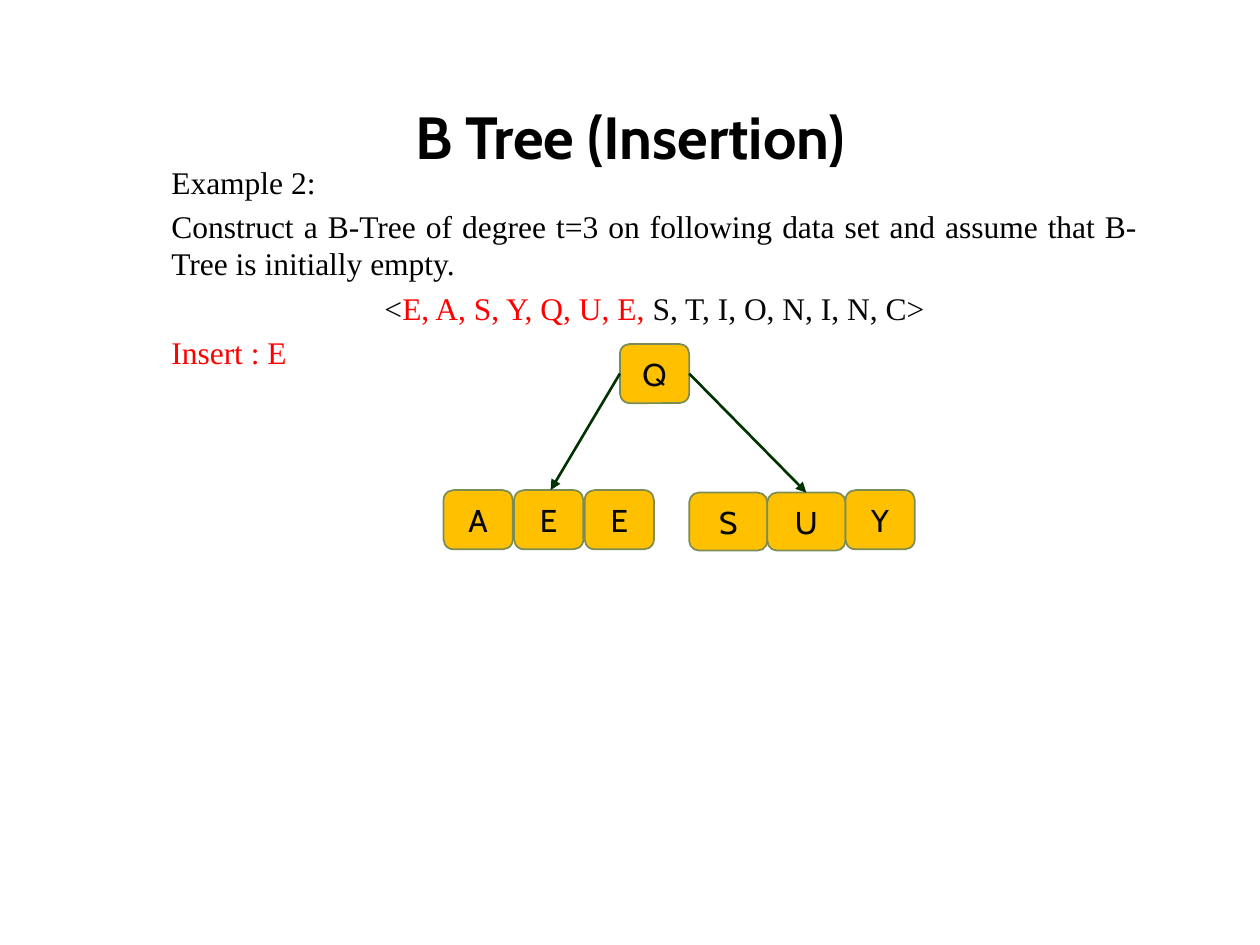
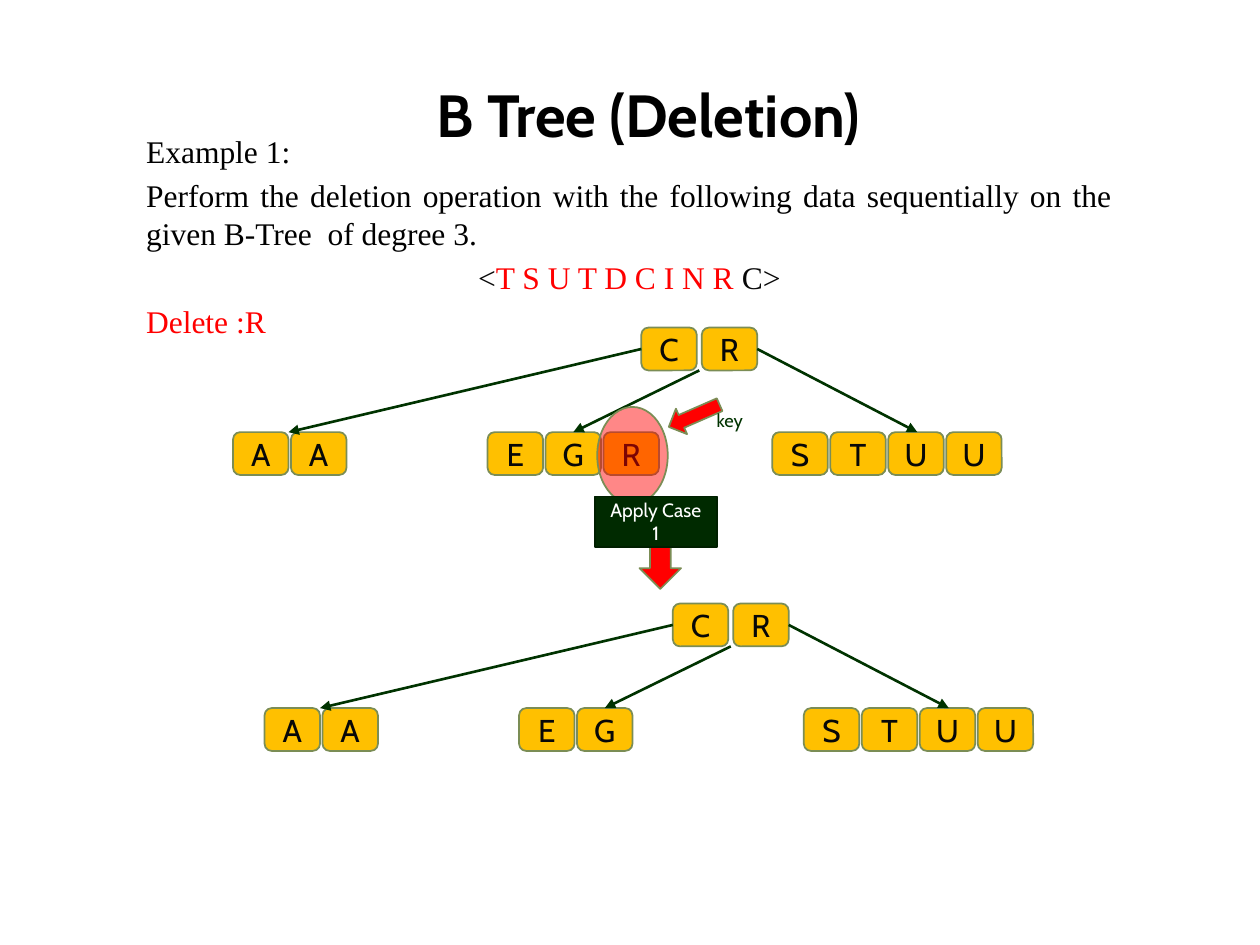
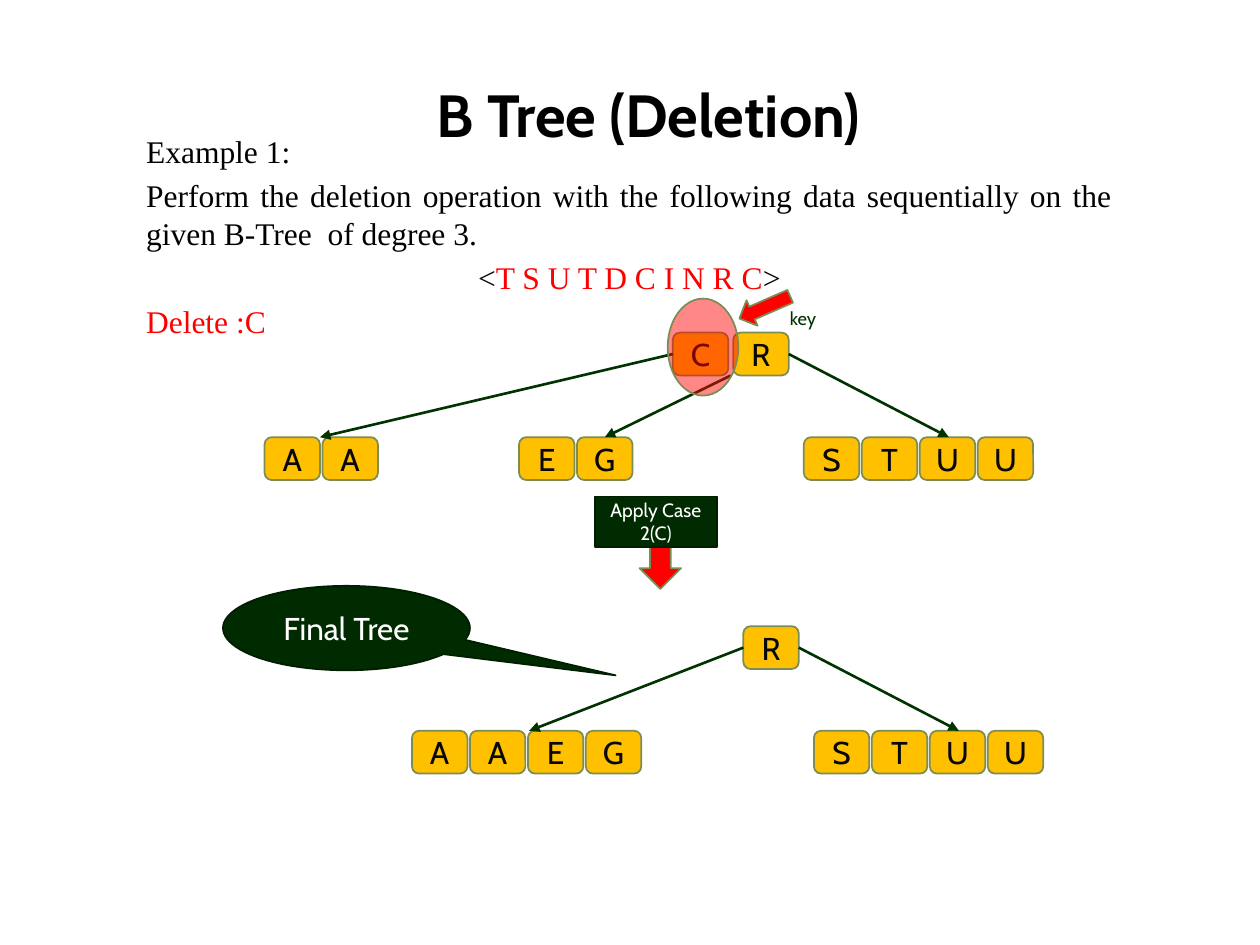
from dataclasses import dataclass
from typing import Optional

from lxml import etree
from pptx import Presentation
from pptx.dml.color import RGBColor
from pptx.enum.shapes import MSO_CONNECTOR, MSO_SHAPE
from pptx.enum.text import MSO_ANCHOR, MSO_AUTO_SIZE, PP_ALIGN
from pptx.oxml.ns import qn
from pptx.util import Inches, Pt

BLACK = RGBColor(0x00, 0x00, 0x00)
INK = RGBColor(0x08, 0x08, 0x08)
WHITE = RGBColor(0xFF, 0xFF, 0xFF)
RED = RGBColor(0xFF, 0x00, 0x00)
GOLD = RGBColor(0xFF, 0xC0, 0x00)
OLIVE = RGBColor(0x7B, 0x8D, 0x55)
GREEN = RGBColor(0x00, 0x33, 0x00)
DEEP_GREEN = RGBColor(0x00, 0x2A, 0x00)
DARKEST_GREEN = RGBColor(0x00, 0x1F, 0x00)

HEADING_FONT = "Cabin"
BODY_FONT = "Times New Roman"
LEFT, CENTER, JUSTIFY = PP_ALIGN.LEFT, PP_ALIGN.CENTER, PP_ALIGN.JUSTIFY
MIDDLE, NO_FIT = MSO_ANCHOR.MIDDLE, MSO_AUTO_SIZE.NONE
ROUNDED, RECTANGLE = MSO_SHAPE.ROUNDED_RECTANGLE, MSO_SHAPE.RECTANGLE
OVAL, CALLOUT = MSO_SHAPE.OVAL, MSO_SHAPE.OVAL_CALLOUT
LEFT_ARROW, RIGHT_ARROW = MSO_SHAPE.LEFT_ARROW, MSO_SHAPE.RIGHT_ARROW
STRAIGHT = MSO_CONNECTOR.STRAIGHT
TITLE_AND_CONTENT = 1


@dataclass
class Node:
    """A row of key cells; arrow_at is where the parent's arrow lands, from the left."""
    keys: str
    left: float
    top: float
    arrow_at: Optional[float] = None
    width: float = 0.44
    height: float = 0.34
    pitch: float = 0.46


def three_leaf_tree(left, top, middle_keys):
    """Return the root C R and its leaves, placed relative to the root."""
    leaf_top = top + 0.83
    return [
        Node("CR", left, top, pitch=0.48),
        Node("AA", left - 3.24, leaf_top, 0.44),
        Node(middle_keys, left - 1.22, leaf_top, 0.68),
        Node("STUU", left + 1.04, leaf_top, 1.15),
    ]


INSERTION_TREE = [
    Node("Q", 4.92, 2.73, width=0.55, height=0.47),
    Node("AEE", 3.52, 3.89, 0.85, 0.55, 0.47, 0.56),
    Node("SU", 5.47, 3.91, 0.93, 0.62, 0.46, 0.62),
    Node("Y", 6.71, 3.89, width=0.55, height=0.47),
]
FINAL_TREE = [
    Node("R", 5.9, 4.97),
    Node("AAEG", 3.27, 5.8, 0.93),
    Node("STUU", 6.46, 5.8, 1.15),
]

DELETION = {
    "title": "B Tree (Deletion)",
    "title_at": (0.65, 0.51, 9, 0.79),
    "body_at": (1.06, 0.97, 7.87, 1.86),
    "example": "Example 1:",
    "task": "Perform the deletion operation with the following data sequentially "
            "on the given B-Tree  of degree 3.",
}
SLIDES = [
    {
        "title": "B Tree (Insertion)",
        "title_at": (0.5, 0.68, 9, 0.79),
        "body_at": (1.26, 1.21, 7.87, 5.07),
        "example": "Example 2:",
        "task": "Construct a B-Tree of degree t=3 on following data set and assume "
                "that B-Tree is initially empty.",
        "done": "E, A, S, Y, Q, U, E, ",
        "pending": "S, T, I, O, N, I, N, C",
        "step": "Insert : E",
        "trees": [INSERTION_TREE],
    },
    {
        **DELETION,
        "done": "T S U T D C I N R",
        "pending": " C",
        "step": "Delete :R",
        "trees": [three_leaf_tree(5.09, 2.6, "EGR"), three_leaf_tree(5.34, 4.79, "EG")],
        "marker_at": (4.74, 3.23),
        "key_label_at": (5.59, 3.2),
        "case": "Apply Case 1",
    },
    {
        **DELETION,
        "done": "T S U T D C I N R C",
        "pending": "",
        "step": "Delete :C",
        "trees": [three_leaf_tree(5.34, 2.64, "EG"), FINAL_TREE],
        "marker_at": (5.3, 2.37),
        "key_label_at": (6.17, 2.39),
        "case": "Apply Case 2(C)",
        "callout": "Final Tree",
    },
]


def style(para, size, color, name=HEADING_FONT, align=CENTER):
    para.alignment = align
    para.font.size = Pt(size)
    para.font.name = name
    para.font.color.rgb = color


def place(shape, bounds):
    shape.left, shape.top, shape.width, shape.height = map(Inches, bounds)


def add_box(page, kind, bounds, fill, line, text="", size=18, color=INK):
    box = page.shapes.add_shape(kind, *map(Inches, bounds))
    box.shadow.inherit = False
    box.fill.solid()
    box.fill.fore_color.rgb = fill
    box.line.color.rgb = line
    box.line.width = Pt(1)
    if text:
        frame = box.text_frame
        frame.text = text
        frame.word_wrap = True
        frame.vertical_anchor = MIDDLE
        style(frame.paragraphs[0], size, color)
    return box


def add_arrow(page, start, end):
    arrow = page.shapes.add_connector(STRAIGHT, *map(Inches, start + end))
    arrow.line.color.rgb = GREEN
    arrow.line.width = Pt(1.5)
    etree.SubElement(arrow.line._get_or_add_ln(), qn("a:tailEnd"), type="triangle")
    etree.SubElement(arrow._element.spPr, qn("a:effectLst"))


def add_tree(page, nodes):
    for node in nodes:
        for column, key in enumerate(node.keys):
            left = node.left + column * node.pitch
            add_box(page, ROUNDED, (left, node.top, node.width, node.height),
                    GOLD, OLIVE, key)

    root = nodes[0]
    children = [node for node in nodes if node.arrow_at is not None]
    right = root.left + (len(root.keys) - 1) * root.pitch + root.width
    side = root.top + root.height / 2
    for child in children:
        if child is children[0]:
            start = (root.left, side)
        elif child is children[-1]:
            start = (right, side)
        else:
            start = ((root.left + right) / 2, root.top + root.height)
        add_arrow(page, start, (child.left + child.arrow_at, child.top))


def add_title(page, content):
    title = page.shapes.title
    place(title, content["title_at"])
    title.text_frame.text = content["title"]
    title.text_frame.auto_size = NO_FIT
    para = title.text_frame.paragraphs[0]
    style(para, 34, BLACK)
    para.font.bold = True


def add_body(page, content):
    lines = [
        (JUSTIFY, [(content["example"], BLACK)]),
        (JUSTIFY, [(content["task"], BLACK)]),
        (CENTER, [("<", INK), (content["done"], RED), (content["pending"] + ">", INK)]),
        (LEFT, [(content["step"], RED)]),
    ]
    body = page.placeholders[1]
    place(body, content["body_at"])
    frame = body.text_frame
    frame.auto_size = NO_FIT
    frame.margin_top = Inches(0.08)
    for index, (align, spans) in enumerate(lines):
        para = frame.add_paragraph() if index else frame.paragraphs[0]
        properties = para._p.get_or_add_pPr()
        properties.set("marL", "0")
        properties.set("indent", "0")
        if index == 0:
            para.space_before = Pt(0)
        etree.SubElement(properties, qn("a:buNone"))
        style(para, 18, spans[0][1], BODY_FONT, align)
        for text, color in spans:
            span = para.add_run()
            span.text = text
            span.font.color.rgb = color


def add_key_marker(page, marker_at, label_at):
    """Ring the key being deleted and point at it."""
    left, top = marker_at
    ring = add_box(page, OVAL, (left, top, 0.56, 0.77), RED, OLIVE)
    color = ring._element.spPr.find(qn("a:solidFill"))[0]
    etree.SubElement(color, qn("a:alpha"), val="47000")
    pointer = add_box(page, LEFT_ARROW, (left + 0.55, top - 0.04, 0.44, 0.22), RED, OLIVE)
    pointer.rotation = 336.4
    label = page.shapes.add_textbox(*map(Inches, label_at + (0.5, 0.28)))
    label.text_frame.word_wrap = True
    label.text_frame.text = "key"
    style(label.text_frame.paragraphs[0], 10.5, GREEN, align=LEFT)


def add_case(page, text):
    down_arrow = add_box(page, RIGHT_ARROW, (5.04, 4.31, 0.4, 0.33), RED, OLIVE)
    down_arrow.rotation = 90
    add_box(page, RECTANGLE, (4.72, 3.94, 0.97, 0.4), DEEP_GREEN, DARKEST_GREEN,
            text, 11, WHITE)


def add_callout(page, text):
    callout = add_box(page, CALLOUT, (1.77, 4.65, 1.96, 0.67), DEEP_GREEN, DARKEST_GREEN,
                      text, 18, WHITE)
    callout.adjustments[0] = 1.09
    callout.adjustments[1] = 0.56


def main():
    deck = Presentation()
    deck.slide_width, deck.slide_height = Inches(10), Inches(7.5)
    for content in SLIDES:
        page = deck.slides.add_slide(deck.slide_layouts[TITLE_AND_CONTENT])
        add_title(page, content)
        add_body(page, content)
        for tree in content["trees"]:
            add_tree(page, tree)
        if "case" in content:
            add_key_marker(page, content["marker_at"], content["key_label_at"])
            add_case(page, content["case"])
        if "callout" in content:
            add_callout(page, content["callout"])
    deck.save("out.pptx")


if __name__ == "__main__":
    main()
